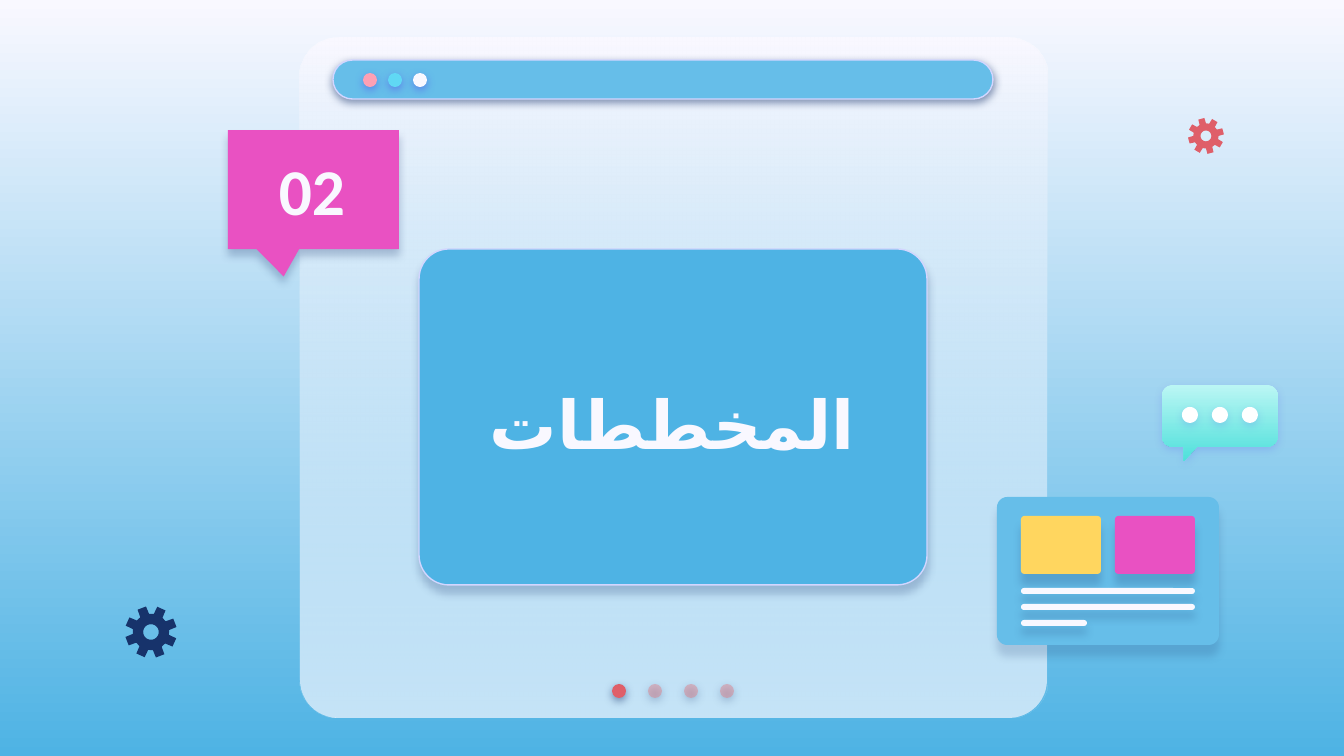
from math import cos, radians, sin

from lxml.etree import SubElement
from pptx import Presentation
from pptx.dml.color import RGBColor
from pptx.enum.lang import MSO_LANGUAGE_ID
from pptx.enum.shapes import MSO_SHAPE
from pptx.enum.text import MSO_ANCHOR, MSO_AUTO_SIZE, PP_ALIGN
from pptx.oxml.ns import qn
from pptx.util import Pt

PX = 9144000 / 1344
HEX = {
    "white": "F9F8FF", "pure": "FFFFFF", "sky": "4EB3E4", "light": "66BEE9",
    "edge": "D2D6FF", "navy": "17336B", "violet": "5352EE", "pink": "E951C2",
    "gold": "FFD65F", "red": "DF5F69", "rose": "E27B83", "blush": "FDA0B4",
    "cyan": "60D8F4", "mint": "BBF6F4", "teal": "4EE0DB",
}
RGB = {name: RGBColor.from_string(code) for name, code in HEX.items()}
ROUND, OVAL = MSO_SHAPE.ROUNDED_RECTANGLE, MSO_SHAPE.OVAL
CALL = MSO_SHAPE.ROUNDED_RECTANGULAR_CALLOUT

deck = Presentation()
deck.slide_width, deck.slide_height = round(1344 * PX), round(756 * PX)
slide = deck.slides.add_slide(deck.slide_layouts[0])
shapes = slide.shapes


def paint(shape, fill, shade=None, alpha=None, edge=None):
    """Fill with one colour or a downward pair; shade is colour, opacity, distance."""
    if isinstance(fill, tuple):
        shape.fill.gradient()
        shape.fill.gradient_angle = 270
        for stop, name in zip(shape.fill.gradient_stops, fill):
            stop.color.rgb = RGB[name]
    else:
        shape.fill.solid()
        shape.fill.fore_color.rgb = RGB[fill]
    props = shape._element.spPr
    if alpha:
        last = list(props.iter(qn("a:srgbClr")))[-1]
        SubElement(last, qn("a:alpha"), val=str(alpha * 1000))
    if edge:
        shape.line.color.rgb = RGB[edge]
        shape.line.width = Pt(0.75)
    else:
        shape.line.fill.background()
    shape.shadow.inherit = False
    if shade:
        name, depth, drop = shade
        outer = SubElement(
            props.find(qn("a:effectLst")), qn("a:outerShdw"), blurRad=str(Pt(4.5)),
            dist=str(Pt(drop)), dir="5400000", algn="bl", rotWithShape="0")
        tint = SubElement(outer, qn("a:srgbClr"), val=HEX[name])
        SubElement(tint, qn("a:alpha"), val=str(depth * 1000))


def trace(loops):
    """Build one freeform from closed loops of px points."""
    loops = [[(x * PX, y * PX) for x, y in loop] for loop in loops]
    pen = shapes.build_freeform(*loops[0][0], scale=1.0)
    for count, loop in enumerate(loops):
        if count:
            pen.move_to(*loop[0])
        pen.add_line_segments(loop[1:], close=True)
    return pen.convert_to_shape()


back = slide.background.fill
back.gradient()
back.gradient_angle = 270
for stop, name in zip(back.gradient_stops, ("white", "sky")):
    stop.color.rgb = RGB[name]

# Rows: kind, px box, adjustments, fill, format
dim, glow = ("navy", 50, 1.5), ("violet", 50, 1.5)
window = (300, 38, 747, 680)
parts = [
    (ROUND, window, [0.056], "white", {}),
    (ROUND, window, [0.056], ("white", "light"), {"alpha": 35}),
    (ROUND, (333, 60, 660, 39), [0.5], "light", {"shade": dim, "edge": "edge"}),
    (CALL, (228, 130, 171, 119), [-0.174, 0.731, 0], "pink",
     {"shade": ("navy", 25, 3.8)}),
    (ROUND, (419, 249, 508, 336), [0.089], "sky",
     {"shade": ("navy", 24, 3.8), "edge": "edge"}),
    (ROUND, (997, 497, 222, 148), [0.07], "light", {"shade": ("navy", 17, 6)}),
]
for i in range(4):
    parts.append((OVAL, (612 + 36 * i, 684, 14, 14), [], "rose" if i else "red",
                  {"shade": dim, "alpha": 44 if i else None}))
for i, name in enumerate(("blush", "cyan", "white")):
    parts.append((OVAL, (363 + 25 * i, 73, 14, 14), [], name, {"shade": glow}))
for i, name in enumerate(("gold", "pink")):
    parts.append((ROUND, (1021 + 94 * i, 516, 80, 58), [0.06], name,
                  {"shade": ("navy", 20, 6)}))
for i, width in enumerate((174, 174, 66)):
    parts.append((ROUND, (1021, 588 + 16 * i, width, 6), [0.5], "white",
                  {"shade": ("navy", 21, 4.5)}))
for kind, box, bends, fill, form in parts:
    shape = shapes.add_shape(kind, *(round(n * PX) for n in box))
    for i, bend in enumerate(bends):
        shape.adjustments[i] = bend
    paint(shape, fill, **form)

# Chat bubble: corner arcs clockwise from top left, tail on the bottom edge
soft = ("violet", 18, 1.5)
bubble = []
for x, y, start in ((1173, 396, 180), (1267, 396, 270), (1267, 436, 0), (1173, 436, 90)):
    if start == 90:
        bubble += [(1197, 447), (1184, 461), (1184, 447)]
    for turn in range(start, start + 91, 15):
        bubble.append((x + 11 * cos(radians(turn)), y + 11 * sin(radians(turn))))
paint(trace([bubble]), ("mint", "teal"), soft)
dots = [[(x + 8 * cos(radians(turn)), 415 + 8 * sin(radians(turn)))
         for turn in range(0, 360, 15)] for x in (1250, 1220, 1190)]
paint(trace(dots), "pure", soft)

# Gears: eight teeth around a round hole
for x, y, size, tilt, name in ((151, 632, 26, -21, "navy"), (1206, 136, 18, -15, "red")):
    teeth = [(size * reach, tilt + 45 * i + turn) for i in range(8)
             for reach, turn in ((0.7, -15), (1, -10), (1, 10), (0.7, 15))]
    hole = [(size * 0.3, turn) for turn in range(0, 360, 15)]
    gear = trace([[(x + far * sin(radians(turn)), y - far * cos(radians(turn)))
                   for far, turn in loop] for loop in (teeth, hole)])
    paint(gear, name)

texts = (
    (slide.placeholders[1], (470, 324, 405, 198), "المخططات", "Lato", 36,
     MSO_ANCHOR.MIDDLE, 12, MSO_LANGUAGE_ID.ARABIC),
    (shapes.title, (241, 137, 142, 105), "02", "Calibri", 35,
     MSO_ANCHOR.BOTTOM, 0, MSO_LANGUAGE_ID.ENGLISH_US),
)
for holder, box, words, face, size, anchor, after, tongue in texts:
    for side, value in zip(("left", "top", "width", "height"), box):
        setattr(holder, side, round(value * PX))
    frame = holder.text_frame
    form = {"auto_size": MSO_AUTO_SIZE.NONE, "word_wrap": True, "vertical_anchor": anchor}
    form |= {f"margin_{side}": Pt(7.2) for side in ("left", "top", "right", "bottom")}
    for key, value in form.items():
        setattr(frame, key, value)
    line = frame.paragraphs[0]
    for key, value in {"alignment": PP_ALIGN.CENTER, "space_before": Pt(0),
                       "space_after": Pt(after)}.items():
        setattr(line, key, value)
    run = line.add_run()
    run.text = words
    for key, value in {"name": face, "size": Pt(size), "bold": True,
                       "language_id": tongue}.items():
        setattr(run.font, key, value)
    run.font.color.rgb = RGB["white"]
    SubElement(run.font._element, qn("a:cs"), typeface=face)
    shapes._spTree.append(holder._element)

deck.save("out.pptx")
